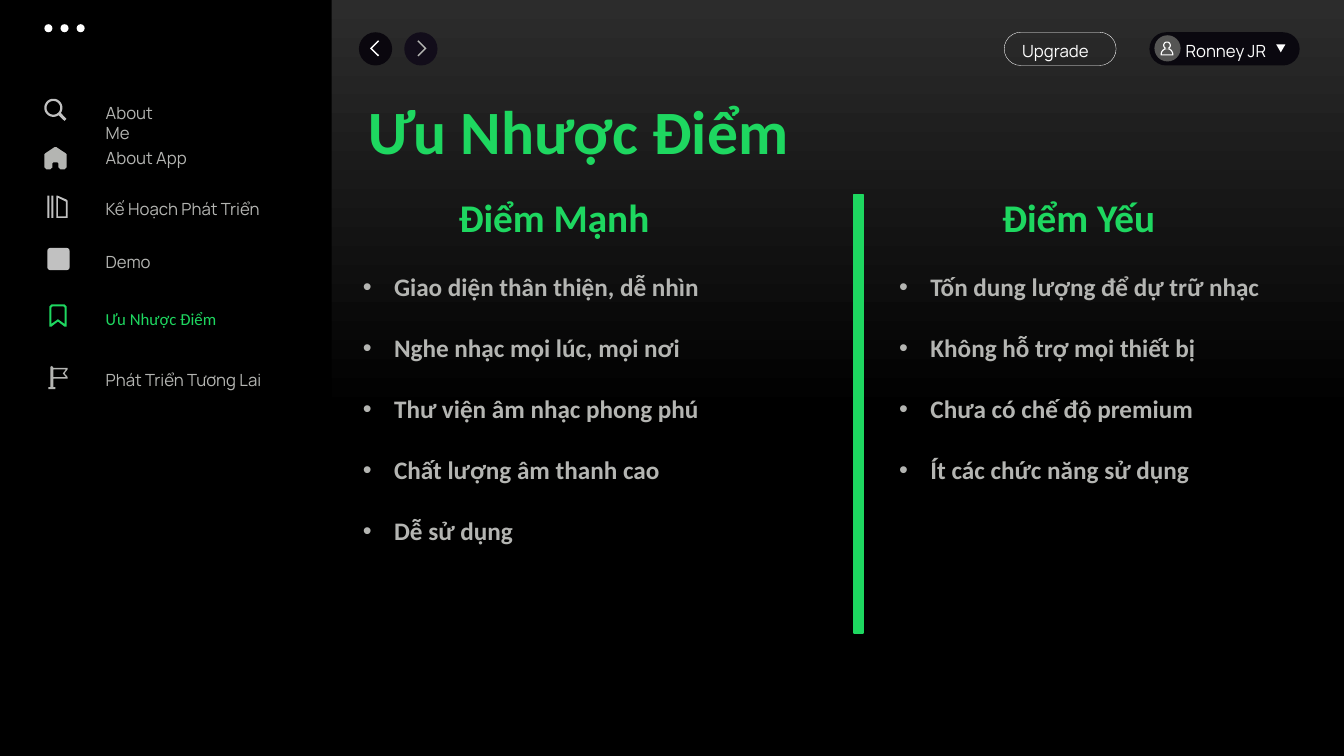
import math
from collections import namedtuple

from lxml import etree
from pptx import Presentation
from pptx import util as u
from pptx.dml.color import RGBColor
from pptx.enum import shapes
from pptx.oxml.ns import qn

COLORS = {
    "green": "1ED760", "white": "FFFFFF", "black": "000000", "top": "2C2C2C",
    "text": "B4B5B2", "icon": "C1C1C1", "pill": "0A080F", "back": "0A070E",
    "forward": "120D1A", "avatar": "555554",
}
CELL = u.Inches(0.01)
COLUMNS, ROWS = 1333, 750
Box = namedtuple("Box", "left top width height")
KIND = shapes.MSO_SHAPE


def arc(x, y, radius, start=0, end=360, step=10):
    """Return points along a circle between two angles in degrees."""
    angles = range(start, end + 1, step)
    return [(x + radius * math.cos(math.radians(angle)),
             y + radius * math.sin(math.radians(angle))) for angle in angles]


def bar(left, right, height):
    """Return the corners of an upright bar that starts at row 0."""
    return [(left, 0), (right, 0), (right, height), (left, height)]


CHEVRON = [(8, 16), (0, 8), (8, 0), (9, 1), (2, 8), (9, 15)]
ICONS = {
    "back": [CHEVRON],
    "forward": [[(9 - x, y) for x, y in CHEVRON]],
    "person": [
        arc(6.5, 4, 3.8), arc(6.5, 4, 2.7),
        arc(6.5, 13, 6.3, 180, 360) + [(12.8, 14), (0.2, 14)],
        arc(6.5, 13, 5.2, 180, 360),
    ],
    "search": [arc(9, 9, 9, 55, 395) + [(22, 20), (20, 22)], arc(9, 9, 6.8)],
    "home": [[(0, 7), (1, 6), (10, 0), (12, 0), (21, 6), (22, 7), (22, 20), (20, 22),
              (16, 22), (14, 20), (14, 16), (13, 15), (9, 15), (8, 16), (8, 20),
              (6, 22), (2, 22), (0, 20)]],
    "library": [
        bar(0, 2, 22), bar(4, 6, 22),
        [(9, 0), (10, 0), (19, 4), (20, 5), (20, 22), (9, 22)],
        [(10.4, 2), (18.4, 6), (18.4, 20.6), (10.4, 20.6)],
    ],
    "bookmark": [
        [(2, 0), (15, 0), (17, 2), (17, 22), (15, 22), (8.5, 17), (2, 22), (0, 22), (0, 2)],
        [(2, 3), (3, 2), (14, 2), (15, 3), (15, 19.3), (8.5, 14.7), (2, 19.3)],
    ],
    "flag": [
        [(2, 1), (3.5, 0), (5, 2), (19, 2), (19, 3.5), (16, 7.5), (19, 11), (19, 12.7),
         (5, 12.7), (5, 21), (7, 21), (7, 23), (0, 23), (0, 21), (2, 21)],
        [(5, 3.5), (17.5, 3.5), (14.3, 7.5), (17.5, 11.2), (5, 11.2)],
    ],
}
MENU = [
    ("About Me", "search", 44, 98, 97, 89, "icon"),
    ("About App", "home", 44, 146, 142, 111, "text"),
    ("Kế Hoạch Phát Triển", "library", 47, 194, 192, 182, "icon"),
    ("Demo", "square", 47, 246, 245, 71, "icon"),
    ("Ưu Nhược Điểm", "bookmark", 49, 302, 301, 142, "green"),
    ("Phát Triển Tương Lai", "flag", 48, 363, 362, 187, "text"),
]
STRENGTHS = ["Giao diện thân thiện, dễ nhìn", "Nghe nhạc mọi lúc, mọi nơi",
             "Thư viện âm nhạc phong phú", "Chất lượng âm thanh cao", "Dễ sử dụng"]
WEAKNESSES = ["Tốn dung lượng để dự trữ nhạc", "Không hỗ trợ mọi thiết bị",
              "Chưa có chế độ premium", "Ít các chức năng sử dụng"]


def color(name):
    """Return the named colour."""
    return RGBColor.from_string(COLORS[name])


def inside(box, left, top, width, height):
    """Return a box placed relative to the corner of another."""
    return Box(box.left + left, box.top + top, width, height)


def emu(box):
    """Return a grid box as slide lengths."""
    return [round(length * CELL) for length in box]


def add_shape(page, kind, box, fill=None, line=None, weight=1, round_by=None):
    """Add a preset shape without shadow."""
    shape = page.shapes.add_shape(kind, *emu(box))
    shape.shadow.inherit = False
    paint(shape, fill, line, weight)
    if round_by is not None:
        shape.adjustments[0] = round_by
    return shape


def paint(shape, fill, line=None, weight=1):
    """Set the fill and line of a shape."""
    if fill:
        shape.fill.solid()
        shape.fill.fore_color.rgb = color(fill)
    else:
        shape.fill.background()
    if line:
        shape.line.color.rgb = color(line)
        shape.line.width = u.Pt(weight)
    else:
        shape.line.fill.background()


def add_icon(page, name, box, left, top, fill):
    """Draw a named icon from its contours."""
    contours = [[((box.left + left + x) * CELL, (box.top + top + y) * CELL)
                 for x, y in contour] for contour in ICONS[name]]
    builder = page.shapes.build_freeform(*contours[0][0])
    for number, contour in enumerate(contours):
        if number:
            builder.move_to(*contour[0])
        builder.add_line_segments(contour[1:], close=True)
    icon = builder.convert_to_shape()
    icon.shadow.inherit = False
    paint(icon, fill)


def add_frame(page, box):
    """Add a wrapping text box and return its frame."""
    frame = page.shapes.add_textbox(*emu(box)).text_frame
    frame.word_wrap = True
    return frame


def write(para, content, size=12, ink="white", font="Manrope", bold=False,
          indent=0, bullet=False, before=0):
    """Write formatted text into a paragraph."""
    properties = para._p.get_or_add_pPr()
    properties.set("marL", str(indent * CELL))
    properties.set("indent", str(-indent * CELL if bullet else 0))
    if bullet:
        etree.SubElement(properties, qn("a:buFont")).set("typeface", "Arial")
        etree.SubElement(properties, qn("a:buChar")).set("char", "•")
    para.space_before = u.Pt(before)
    span = para.add_run()
    span.text = content
    span.font.name = font
    span.font.size = u.Pt(size)
    span.font.bold = bold
    span.font.color.rgb = color(ink)


def add_label(page, box, content, **style):
    """Add a text box with one paragraph."""
    write(add_frame(page, box).paragraphs[0], content, **style)


def draw_sidebar(page, box):
    """Draw the black menu panel."""
    add_shape(page, KIND.RECTANGLE, box, "black")
    for dot in range(3):
        add_shape(page, KIND.OVAL, inside(box, 44 + 16 * dot, 24, 8, 8), "white")
    for label, icon, left, top, text_top, width, fill in MENU:
        active = fill == "green"
        if icon in ICONS:
            add_icon(page, icon, box, left, top, fill)
        else:
            add_shape(page, KIND.ROUNDED_RECTANGLE, inside(box, left, top, 22, 22),
                      fill, round_by=0.126)
        add_label(page, inside(box, 95, text_top, width, 30), label,
                  ink="green" if active else "text", font="Calibri" if active else "Manrope")


def draw_toolbar(page, box):
    """Draw the navigation buttons, upgrade pill and user pill."""
    for name, left, icon_left, ink in (("back", 0, 11, "white"), ("forward", 45, 58, "text")):
        add_shape(page, KIND.OVAL, inside(box, left, 0, 33, 33), name)
        add_icon(page, name, box, icon_left, 8, ink)
    add_shape(page, KIND.ROUNDED_RECTANGLE, inside(box, 640, 0, 111, 33),
              line="white", weight=0.25, round_by=0.5)
    add_label(page, inside(box, 648, 4, 94, 30), "Upgrade")
    add_shape(page, KIND.ROUNDED_RECTANGLE, inside(box, 784, 0, 149, 33), "pill", round_by=0.5)
    add_label(page, inside(box, 810, 4, 108, 30), "Ronney JR")
    add_shape(page, KIND.OVAL, inside(box, 789, 3, 26, 26), "avatar")
    add_icon(page, "person", box, 795, 9, "white")
    add_shape(page, KIND.ISOSCELES_TRIANGLE, inside(box, 911, 10, 9, 8), "white").rotation = 60


def draw_points(page, box, heading, points, indent):
    """Write a heading and its bulleted points."""
    frame = add_frame(page, box)
    write(frame.paragraphs[0], heading, size=28, ink="green", font="Calibri",
          bold=True, indent=indent)
    for point in points:
        write(frame.add_paragraph(), point, size=18, ink="text", font="Calibri",
              bold=True, indent=31, bullet=True, before=22)


def draw_comparison(page, box):
    """Draw the title and two columns of points with a divider."""
    add_label(page, inside(box, 6, 0, 484, 84), "Ưu Nhược Điểm",
              size=44, ink="green", font="Calibri", bold=True)
    add_shape(page, KIND.RECTANGLE, inside(box, 497, 106, 9, 435), "green", "green")
    draw_points(page, inside(box, 0, 100, 472, 579), "Điểm Mạnh", STRENGTHS, 95)
    draw_points(page, inside(box, 532, 100, 435, 367), "Điểm Yếu", WEAKNESSES, 102)


def main():
    """Build and save the deck."""
    deck = Presentation()
    deck.slide_width, deck.slide_height = COLUMNS * CELL, ROWS * CELL
    page = deck.slides.add_slide(deck.slide_layouts[6])
    fill = page.background.fill
    fill.gradient()
    fill.gradient_angle = 270
    for stop, name, position in zip(fill.gradient_stops, ("top", "black"), (0, 0.55)):
        stop.color.rgb = color(name)
        stop.position = position
    draw_sidebar(page, Box(0, 0, 329, ROWS))
    draw_toolbar(page, Box(356, 32, 933, 33))
    draw_comparison(page, Box(350, 87, 967, 663))
    deck.save("out.pptx")


if __name__ == "__main__":
    main()
